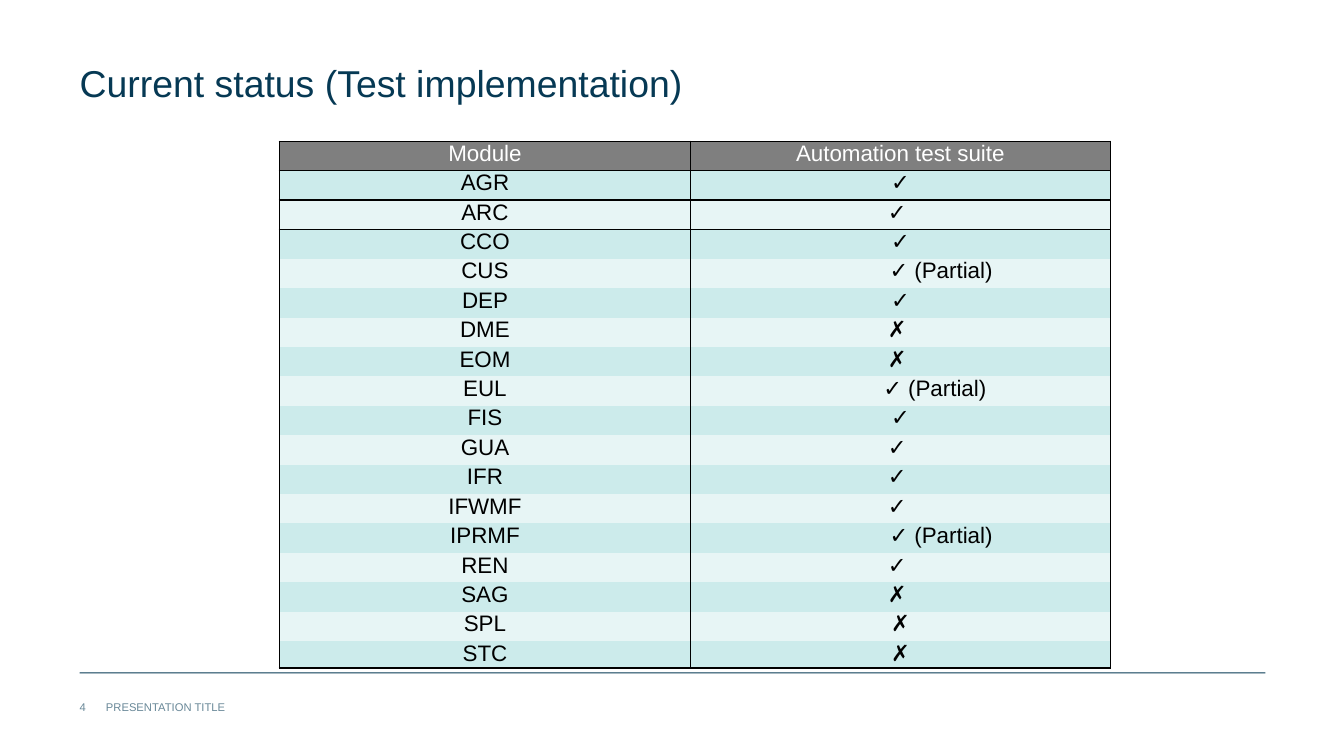
from typing import NamedTuple

from lxml import etree
from pptx import Presentation
from pptx.dml.color import RGBColor
from pptx.enum.shapes import MSO_SHAPE
from pptx.enum.text import MSO_ANCHOR, PP_ALIGN
from pptx.oxml.ns import qn
from pptx.util import Inches, Pt

RECTANGLE = MSO_SHAPE.RECTANGLE
TOP = MSO_ANCHOR.TOP
LEFT, CENTER = PP_ALIGN.LEFT, PP_ALIGN.CENTER

NAVY = RGBColor(0x06, 0x39, 0x54)
SLATE = RGBColor(0x69, 0x88, 0x98)
GRAY = RGBColor(0x7F, 0x7F, 0x7F)
WHITE = RGBColor(0xFF, 0xFF, 0xFF)
BLACK = RGBColor(0, 0, 0)
BANDS = (RGBColor(0xE7, 0xF5, 0xF5), RGBColor(0xCC, 0xEB, 0xEB))

FONT = "Arial"
TABLE_SIZE = 16
SPACE = Pt(TABLE_SIZE * 0.28)  # width of one space in the table text
NO_TABLE_STYLE = "{2D5ABB26-0587-4C30-8999-92F81FD0307C}"

# The slide is a grid of 100 columns by 100 rows.
WIDTH, HEIGHT = Inches(13.33), Inches(7.5)
MARGIN = 5.93
FOOTER_ROW, FOOTER_ROWS = 92.67, 1.73
TABLE_COLUMNS = (30.61, 31.21)
ROW_HEIGHT, LAST_ROW_HEIGHT = 3.89, 3.2


class Box(NamedTuple):
    col: float
    row: float
    cols: float
    rows: float

    def lengths(self) -> tuple[int, int, int, int]:
        return across(self.col), down(self.row), across(self.cols), down(self.rows)


class Status(NamedTuple):
    """A module and its mark; before and after are margins in spaces."""
    module: str
    mark: str
    before: int = 0
    after: int = 0


STATUSES = [
    Status("AGR", "✓"),
    Status("ARC", "✓", after=1),
    Status("CCO", "✓"),
    Status("CUS", "✓ (Partial)", before=13),
    Status("DEP", "✓"),
    Status("DME", "✗", after=1),
    Status("EOM", "✗", after=1),
    Status("EUL", "✓ (Partial)", before=12, after=1),
    Status("FIS", "✓"),
    Status("GUA", "✓", after=1),
    Status("IFR", "✓", after=1),
    Status("IFWMF", "✓", after=1),
    Status("IPRMF", "✓ (Partial)", before=13),
    Status("REN", "✓", after=1),
    Status("SAG", "✗", after=1),
    Status("SPL", "✗"),
    Status("STC", "✗"),
]


def across(cols: float) -> int:
    return round(WIDTH * cols / 100)


def down(rows: float) -> int:
    return round(HEIGHT * rows / 100)


def write(tf, text: str, *, size: float, color: RGBColor,
          align=LEFT, spacing: float = 1.0) -> None:
    p = tf.paragraphs[0]
    p.alignment = align
    p.line_spacing = spacing
    r = p.add_run()
    r.text = text
    r.font.name = FONT
    r.font.size = Pt(size)
    r.font.color.rgb = color


def add_text(slide, box: Box, text: str, **style) -> None:
    tf = slide.shapes.add_textbox(*box.lengths()).text_frame
    tf.word_wrap = True
    tf.vertical_anchor = TOP
    tf.margin_left = tf.margin_right = tf.margin_top = tf.margin_bottom = 0
    write(tf, text, **style)


def add_rule(slide, box: Box) -> None:
    sp = slide.shapes.add_shape(RECTANGLE, *box.lengths())
    sp.shadow.inherit = False
    sp.fill.solid()
    sp.fill.fore_color.rgb = NAVY
    sp.line.fill.background()


def add_borders(cell, sides: str) -> None:
    """Draw the sides named by letters, in the order L, R, T, B."""
    tc_pr = cell._tc.get_or_add_tcPr()
    for side in sides:
        ln = etree.SubElement(tc_pr, qn(f"a:ln{side}"), w=str(Pt(1)))
        fill = etree.SubElement(ln, qn("a:solidFill"))
        etree.SubElement(fill, qn("a:srgbClr"), val=str(BLACK))


def fill_cell(cell, text: str, fill: RGBColor, color: RGBColor, sides: str,
              before: int = 0, after: int = 0) -> None:
    cell.margin_top = cell.margin_bottom = 0
    cell.margin_left, cell.margin_right = SPACE * before, SPACE * after
    add_borders(cell, sides)
    cell.fill.solid()
    cell.fill.fore_color.rgb = fill
    write(cell.text_frame, text, size=TABLE_SIZE, color=color, align=CENTER)


def add_status_table(slide, col: float, row: float) -> None:
    last = len(STATUSES)
    box = Box(col, row, sum(TABLE_COLUMNS), ROW_HEIGHT * last + LAST_ROW_HEIGHT)
    table = slide.shapes.add_table(last + 1, 2, *box.lengths()).table
    table.first_row = table.horz_banding = False
    table._tbl.tblPr.find(qn("a:tableStyleId")).text = NO_TABLE_STYLE
    for column, cols in zip(table.columns, TABLE_COLUMNS):
        column.width = across(cols)
    for i, table_row in enumerate(table.rows):
        table_row.height = down(LAST_ROW_HEIGHT if i == last else ROW_HEIGHT)

    for c, heading in enumerate(("Module", "Automation test suite")):
        fill_cell(table.cell(0, c), heading, GRAY, WHITE, "LRTB")
    for i, status in enumerate(STATUSES, start=1):
        sides = {1: "LRTB", 2: "LRT", last: "LRB"}.get(i, "LR")
        band = BANDS[i % 2]
        fill_cell(table.cell(i, 0), status.module, band, BLACK, sides)
        fill_cell(table.cell(i, 1), status.mark, band, BLACK, sides,
                  status.before, status.after)


def main() -> None:
    prs = Presentation()
    prs.slide_width, prs.slide_height = WIDTH, HEIGHT
    slide = prs.slides.add_slide(prs.slide_layouts[6])

    add_rule(slide, Box(MARGIN, 88.93, 88.22, 0.13))
    add_text(slide, Box(7.88, FOOTER_ROW, 40.2, FOOTER_ROWS),
             "PRESENTATION TITLE", size=8, color=SLATE)
    add_text(slide, Box(MARGIN, FOOTER_ROW, 1.95, FOOTER_ROWS),
             "4", size=8, color=SLATE)
    add_text(slide, Box(MARGIN, 7.33, 57.16, 19.47),
             "Current status (Test implementation)",
             size=26.7, color=NAVY, spacing=1.1)
    add_status_table(slide, 20.78, 18.67)

    prs.save("out.pptx")


if __name__ == "__main__":
    main()
